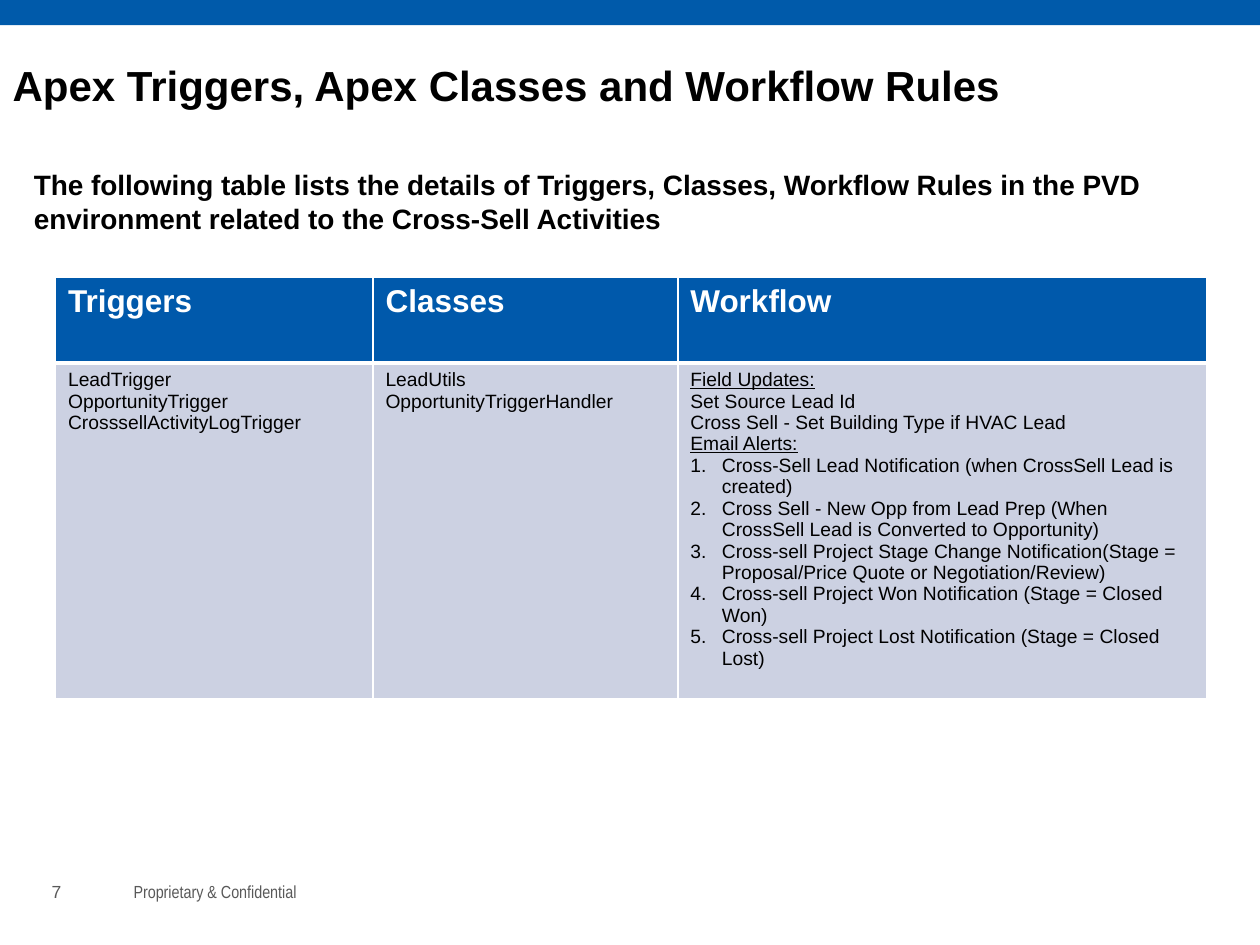
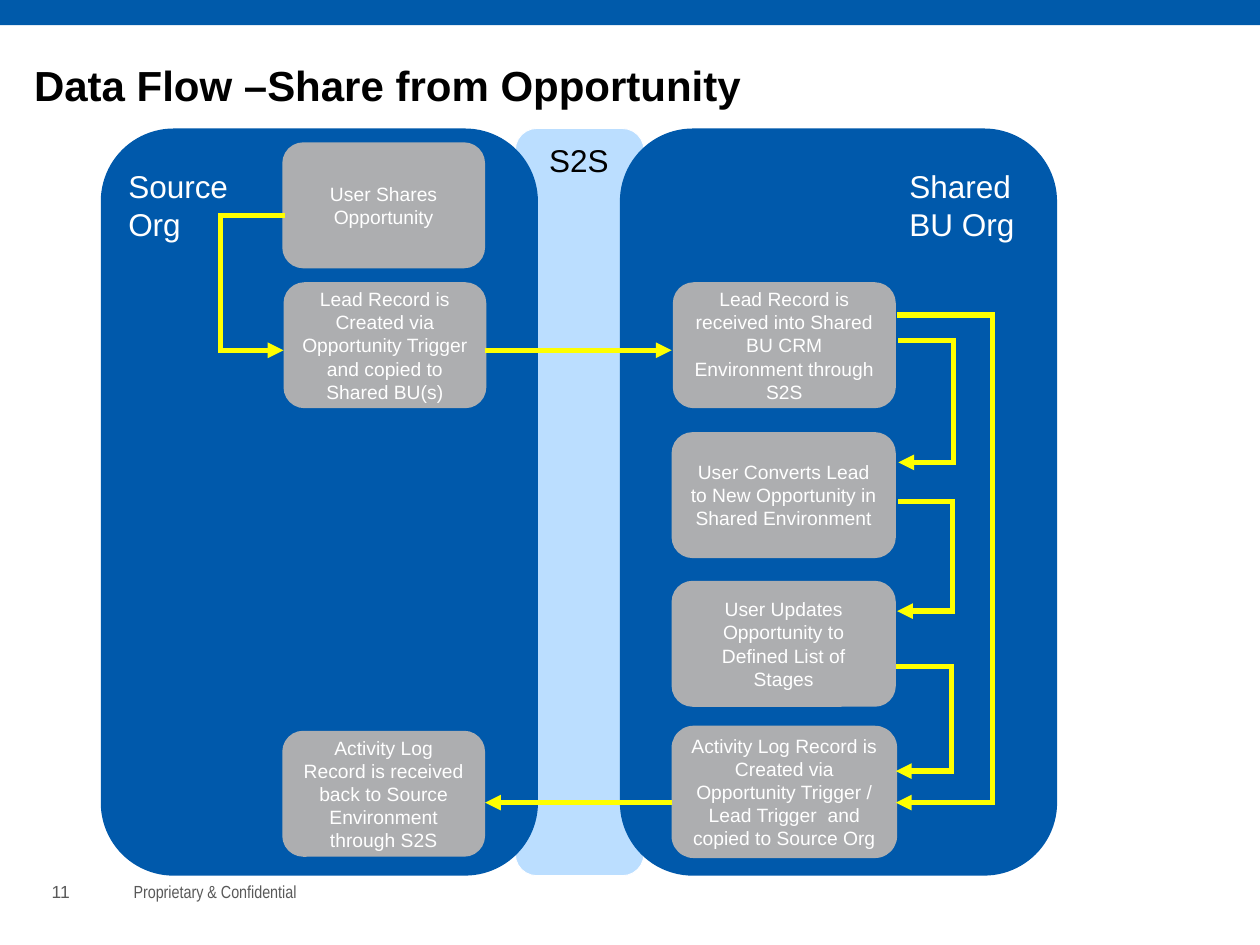
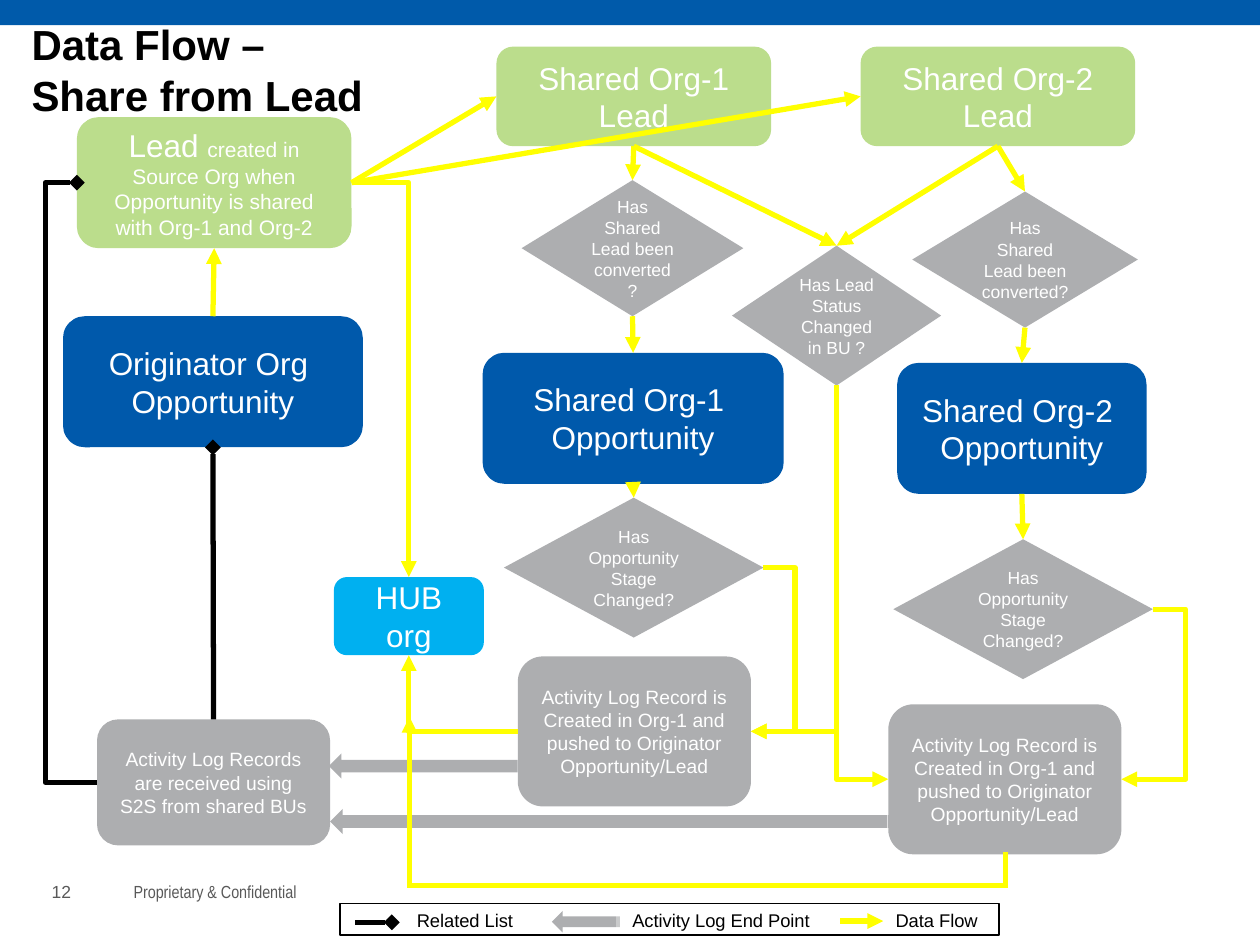
from lxml import etree
from pptx import Presentation
from pptx.dml.color import RGBColor
from pptx.enum.shapes import MSO_CONNECTOR, MSO_SHAPE
from pptx.enum.text import MSO_ANCHOR, MSO_AUTO_SIZE, PP_ALIGN
from pptx.oxml.ns import qn
from pptx.util import Inches, Pt

RECT, ROUND = MSO_SHAPE.RECTANGLE, MSO_SHAPE.ROUNDED_RECTANGLE
DIAMOND, STRIPED = MSO_SHAPE.DIAMOND, MSO_SHAPE.STRIPED_RIGHT_ARROW
STRAIGHT, ELBOW = MSO_CONNECTOR.STRAIGHT, MSO_CONNECTOR.ELBOW
LEFT_ALIGN, CENTER = PP_ALIGN.LEFT, PP_ALIGN.CENTER
ANCHOR_TOP, ANCHOR_MIDDLE, ANCHOR_BOTTOM = MSO_ANCHOR.TOP, MSO_ANCHOR.MIDDLE, MSO_ANCHOR.BOTTOM
NO_AUTOFIT = MSO_AUTO_SIZE.NONE
TOP, LEFT, BOTTOM, RIGHT = range(4)
FONT = "Arial"
TITLE_ONLY = 5
C = {
    "band": "005AAA", "blue": "0059AB", "pale": "BBDEFF", "gray": "ADAEB0",
    "green": "BBDD8C", "hub": "00B0F0", "flow": "FFFF00", "cell": "CCD1E2",
    "white": "FFFFFF", "black": "000000", "footer": "595959",
}


def rgb(name):
    return RGBColor.from_string(C[name])


def set_font(font, size, color, bold=False, name=FONT):
    font.name, font.size, font.bold = name, Pt(size), bold
    font.color.rgb = rgb(color)


def fill_text(tf, text, size, color, bold=False, align=LEFT_ALIGN, name=FONT):
    tf.word_wrap = True
    tf.text = text
    for p in tf.paragraphs:
        p.alignment = align
        set_font(p.font, size, color, bold, name)


def add_text(s, box, text, size, color="black", bold=False, align=LEFT_ALIGN, name=FONT):
    tf = s.shapes.add_textbox(*map(Inches, box)).text_frame
    fill_text(tf, text, size, color, bold, align, name)
    return tf


def add_box(s, kind, box, fill=None, text="", size=11, line=None, width=1):
    sp = s.shapes.add_shape(kind, *map(Inches, box))
    sp.shadow.inherit = False
    if fill:
        sp.fill.solid()
        sp.fill.fore_color.rgb = rgb(fill)
    else:
        sp.fill.background()
    if line:
        sp.line.color.rgb = rgb(line)
        sp.line.width = Pt(width)
    else:
        sp.line.fill.background()
    if text:
        sp.text_frame.vertical_anchor = ANCHOR_MIDDLE
        fill_text(sp.text_frame, text, size, "white", align=CENTER)
    return sp


def style_line(c, color="flow", head=None, tail=None, cap="flat"):
    c.line.color.rgb = rgb(color)
    c.line.width = Pt(3)
    sp_pr = c._element.spPr
    ln = sp_pr.find(qn("a:ln"))
    ln.set("cap", cap)
    for tag, kind in (("a:headEnd", head), ("a:tailEnd", tail)):
        if kind:
            etree.SubElement(ln, qn(tag), type=kind)
    etree.SubElement(sp_pr, qn("a:effectLst"))


def add_route(s, points, color="flow", tail="triangle"):
    """Straight segments through the points, with the arrowhead on the last."""
    cap = "sq" if len(points) > 2 else "flat"
    for i, (a, b) in enumerate(zip(points, points[1:]), 2):
        c = s.shapes.add_connector(STRAIGHT, *map(Inches, (*a, *b)))
        style_line(c, color, tail=tail if i == len(points) else None, cap=cap)


def link(s, a, a_side, b, b_side, kind=STRAIGHT, **style):
    c = s.shapes.add_connector(kind, 0, 0, 0, 0)
    c.begin_connect(a, a_side)
    c.end_connect(b, b_side)
    style_line(c, **style)
    return c


def add_corner(s, a, a_side, b, b_side, **style):
    """Elbow with one turn, leaving a sideways and reaching b vertically."""
    c = link(s, a, a_side, b, b_side, ELBOW, **style)
    c._element.spPr.find(qn("a:prstGeom")).set("prst", "bentConnector2")


def add_detour(s, a, b, side, via_x, **style):
    """Elbow joining the same side of a and b through a vertical at via_x."""
    c = link(s, a, side, b, side, ELBOW, **style)
    adj = round((Inches(via_x) - c.begin_x) / (c.end_x - c.begin_x) * 100000)
    av = c._element.spPr.find(qn("a:prstGeom")).find(qn("a:avLst"))
    etree.SubElement(av, qn("a:gd"), name="adj1", fmla=f"val {adj}")


def new_slide(prs, number, title, title_box):
    s = prs.slides.add_slide(prs.slide_layouts[TITLE_ONLY])
    add_box(s, RECT, (0, 0, 10, 0.2), "band")
    tf = add_text(s, (0.34, 6.8, 0.41, 0.4), str(number), 10, "footer")
    tf.vertical_anchor = ANCHOR_BOTTOM
    tf.margin_left = tf.margin_right = Inches(0.07)
    tf.margin_top = tf.margin_bottom = Inches(0.04)
    tf = add_text(s, (1.02, 6.95, 1.86, 0.2), "Proprietary & Confidential", 10,
                  "footer", name="Arial Narrow")
    tf.margin_left = tf.margin_right = tf.margin_top = tf.margin_bottom = Inches(0.04)

    sp = s.shapes.title
    sp.left, sp.top, sp.width, sp.height = map(Inches, title_box)
    tf = sp.text_frame
    tf.auto_size = NO_AUTOFIT
    tf.vertical_anchor = ANCHOR_TOP
    fill_text(tf, title, 24, "black", True)
    return s


def set_borders(cell, bottom):
    tc_pr = cell._tc.get_or_add_tcPr()
    sides = (("a:lnL", 1), ("a:lnR", 1), ("a:lnT", 1), ("a:lnB", bottom))
    for i, (tag, width) in enumerate(sides):
        ln = etree.Element(qn(tag), w=str(Pt(width)))
        fill = etree.SubElement(ln, qn("a:solidFill"))
        etree.SubElement(fill, qn("a:srgbClr"), val=C["white"])
        tc_pr.insert(i, ln)


def number_paragraph(p):
    p_pr = p._p.get_or_add_pPr()
    p_pr.set("marL", str(Inches(0.25)))
    p_pr.set("indent", str(-Inches(0.25)))
    etree.SubElement(p_pr, qn("a:buFont"), typeface=FONT)
    etree.SubElement(p_pr, qn("a:buAutoNum"), type="arabicPeriod")


HEADERS = ["Triggers", "Classes", "Workflow"]
ALERTS = [
    "Cross-Sell Lead Notification (when CrossSell Lead is created)",
    "Cross Sell - New Opp from Lead Prep (When CrossSell Lead is Converted to Opportunity)",
    "Cross-sell Project Stage Change Notification(Stage = Proposal/Price Quote or "
    "Negotiation/Review)",
    "Cross-sell Project Won Notification (Stage = Closed Won)",
    "Cross-sell Project Lost Notification (Stage = Closed Lost)",
]
DETAILS = [
    ["LeadTrigger", "OpportunityTrigger", "CrosssellActivityLogTrigger"],
    ["LeadUtils", "OpportunityTriggerHandler"],
    ["Field Updates:", "Set Source Lead Id", "Cross Sell - Set Building Type if HVAC Lead",
     "Email Alerts:", *ALERTS],
]


def automation_table(s, box):
    table = s.shapes.add_table(2, 3, *map(Inches, box)).table
    for col, width in zip(table.columns, (2.52, 2.42, 4.2)):
        col.width = Inches(width)
    for row, height in zip(table.rows, (0.68, box[3] - 0.68)):
        row.height = Inches(height)
    for i, (header, lines) in enumerate(zip(HEADERS, DETAILS)):
        head, body = table.cell(0, i), table.cell(1, i)
        for cell, fill, bottom in ((head, "blue", 3), (body, "cell", 1)):
            cell.fill.solid()
            cell.fill.fore_color.rgb = rgb(fill)
            set_borders(cell, bottom)
        head.text = header
        set_font(head.text_frame.paragraphs[0].font, 18, "white", True)
        body.text = "\n".join(lines)
        for p in body.text_frame.paragraphs:
            if p.text in ALERTS:
                number_paragraph(p)
            set_font(p.font, 11, "black")
            if p.text.endswith(":"):
                p.runs[0].font.underline = True


def triggers_slide(prs):
    s = new_slide(prs, 7, "Apex Triggers, Apex Classes and Workflow Rules", (0, 0.42, 8.5, 0.5))
    add_text(s, (0.17, 1.28, 9.66, 0.92),
             "The following table lists the details of Triggers, Classes, Workflow Rules "
             "in the PVD environment related to the Cross-Sell Activities", 16, bold=True)
    automation_table(s, (0.44, 2.2, 9.14, 3.34))


SOURCE_STEPS = [  # left and top in the panel, width, height, text
    (1.44, 0.11, 1.61, 1, "User Shares Opportunity"),
    (1.45, 1.22, 1.61, 1,
     "Lead Record is Created via Opportunity Trigger and copied to Shared BU(s)"),
    (1.44, 4.78, 1.61, 1, "Activity Log Record is received back to Source Environment through S2S"),
]
SHARED_STEPS = [
    (0.42, 1.22, 1.77, 1, "Lead Record is received into Shared BU CRM Environment through S2S"),
    (0.41, 2.41, 1.78, 1, "User Converts Lead to New Opportunity in Shared Environment"),
    (0.41, 3.59, 1.78, 1, "User Updates Opportunity to Defined List of Stages"),
    (0.41, 4.74, 1.79, 1.05,
     "Activity Log Record is Created via Opportunity Trigger / Lead Trigger  "
     "and copied to Source Org"),
]
SOURCE_LOOP = (1.44, 0.69, 0.95, 1.45, 1.76)  # start x, y, turn x, end x, y
SHARED_LOOPS = [
    (2.23, 1.68, 2.65, 2.21, 2.65),
    (2.23, 2.96, 2.64, 2.2, 3.83),
    (2.21, 4.27, 2.63, 2.19, 5.1),
    (2.22, 1.48, 2.96, 2.19, 5.35),
]


def org_panel(s, box, label, label_left, label_width, steps, loops):
    x, y = box[:2]
    add_box(s, ROUND, box, "blue")
    for dx, dy, w, h, text in steps:
        add_box(s, ROUND, (x + dx, y + dy, w, h), "gray", text)
    add_text(s, (x + label_left, y + 0.26, label_width, 0.71), label, 18, "white")
    for x1, y1, turn, x2, y2 in loops:
        corners = [(x1, y1), (turn, y1), (turn, y2), (x2, y2)]
        add_route(s, [(x + px, y + py) for px, py in corners])


def opportunity_slide(prs):
    s = new_slide(prs, 11, "Data Flow –Share from Opportunity", (0.17, 0.42, 9.34, 0.5))
    top, height = 1.02, 5.93
    add_box(s, ROUND, (4.09, top, 1.02, height), "pale", line="white", width=0.5)
    add_text(s, (4.01, top + 0.05, 1.17, 0.4), "S2S", 18, align=CENTER)
    org_panel(s, (4.92, top, 3.47, height), "Shared BU Org", 2.2, 1.17,
              SHARED_STEPS, SHARED_LOOPS)
    org_panel(s, (0.8, top, 3.47, height), "Source Org", 0.12, 1.06,
              SOURCE_STEPS, [SOURCE_LOOP])
    add_route(s, [(3.85, 2.78), (5.33, 2.78)])
    add_route(s, [(5.33, 6.37), (3.85, 6.37)])


CONVERTED = "Has Shared Lead been converted?"
STAGE = "Has Opportunity Stage Changed?"
LOGGED = "Activity Log Record is Created in Org-1 and pushed to Originator Opportunity/Lead"
STYLES = {  # shape, fill, text size
    "lead": (ROUND, "green", 18), "opportunity": (ROUND, "blue", 18),
    "hub": (ROUND, "hub", 18), "log": (ROUND, "gray", 11), "question": (DIAMOND, "gray", 10),
}
NODES = {  # style, box in the chart, text
    "origin": ("opportunity", (0, 2.14, 2.38, 1.04), "Originator Org \nOpportunity"),
    "converted1": ("question", (3.64, 1.06, 1.76, 1.08), CONVERTED),
    "opp1": ("opportunity", (3.33, 2.43, 2.39, 1.04), "Shared Org-1 \nOpportunity"),
    "stage1": ("question", (3.5, 3.58, 2.06, 1.11), STAGE),
    "received": ("log", (0.27, 5.34, 1.85, 1),
                 "Activity Log Records are received using S2S from shared BUs"),
    "opp2": ("opportunity", (6.62, 2.51, 1.98, 1.04), "Shared Org-2 \nOpportunity"),
    "converted2": ("question", (6.74, 1.15, 1.79, 1.08), CONVERTED),
    "lead1": ("lead", (3.44, 0, 2.18, 0.79), "Shared Org-1 Lead"),
    "lead2": ("lead", (6.33, 0, 2.18, 0.79), "Shared Org-2 Lead"),
    "lead": ("lead", (0.11, 0.56, 2.18, 1.04), "Lead "),
    "stage2": ("question", (6.59, 3.91, 2.06, 1.11), STAGE),
    "status": ("question", (5.31, 1.58, 1.66, 1.11), "Has Lead Status Changed in BU ?"),
    "log1": ("log", (3.61, 4.84, 1.85, 1.19), LOGGED),
    "log2": ("log", (6.55, 5.22, 1.85, 1.19), LOGGED),
    "hub": ("hub", (2.15, 4.21, 1.19, 0.62), "HUB org"),
}
DOWN_LINKS = [
    ("lead1", "converted1"), ("lead2", "converted2"), ("converted1", "opp1"),
    ("converted2", "opp2"), ("lead1", "status"), ("lead2", "status"),
    ("opp1", "stage1"), ("opp2", "stage2"),
]


def lead_flowchart(s, x, y):
    n = {}
    for key, (style, (dx, dy, w, h), text) in NODES.items():
        kind, fill, size = STYLES[style]
        n[key] = add_box(s, kind, (x + dx, y + dy, w, h), fill, text, size)
    r = n["lead"].text_frame.paragraphs[0].add_run()
    r.text = "created in Source Org when Opportunity is shared with Org-1 and Org-2"
    r.font.size = Pt(12)

    link(s, n["origin"], TOP, n["lead"], BOTTOM, tail="triangle")
    link(s, n["origin"], BOTTOM, n["received"], TOP, color="black", head="diamond")
    for target in ("lead1", "lead2"):
        link(s, n["lead"], RIGHT, n[target], LEFT, tail="triangle")
    for a, b in DOWN_LINKS:
        link(s, n[a], BOTTOM, n[b], TOP, tail="triangle")
    add_detour(s, n["log1"], n["stage1"], RIGHT, x + 5.81, head="triangle")
    add_detour(s, n["log2"], n["stage2"], RIGHT, x + 8.91, head="triangle")
    for dx, dy, w in ((2.11, 5.61, 1.53), (2.12, 6.05, 4.45)):
        add_box(s, STRIPED, (x + dx, y + dy, w, 0.2), "gray").rotation = 180
    add_detour(s, n["lead"], n["received"], LEFT, x - 0.14, color="black", head="diamond")
    add_corner(s, n["log1"], RIGHT, n["status"], BOTTOM, head="triangle")
    add_corner(s, n["log2"], LEFT, n["status"], BOTTOM, head="triangle")
    add_corner(s, n["lead"], RIGHT, n["hub"], TOP, tail="triangle")
    add_corner(s, n["log1"], LEFT, n["hub"], BOTTOM, tail="triangle")
    corners = [(7.48, 6.41), (7.48, 6.66), (2.75, 6.66), (2.75, 5.32)]
    add_route(s, [(x + px, y + py) for px, py in corners])


def legend(s, box):
    x, y = box[:2]
    add_box(s, RECT, box, line="black")
    add_route(s, [(x + 0.12, y + 0.15), (x + 0.41, y + 0.15)], "black", "diamond")
    add_box(s, STRIPED, (x + 1.68, y + 0.06, 0.54, 0.17), "gray").rotation = 180
    add_route(s, [(x + 3.97, y + 0.14), (x + 4.31, y + 0.14)])
    for dx, w, text in ((0.51, 1, "Related List"), (2.22, 1.69, "Activity Log End Point"),
                        (4.31, 1, "Data Flow")):
        add_text(s, (x + dx, y, w, 0.29), text, 10.5)


def lead_slide(prs):
    s = new_slide(prs, 12, "Data Flow – Share from Lead", (0.15, 0.1, 2.89, 0.91))
    lead_flowchart(s, 0.5, 0.37)
    legend(s, (2.7, 7.17, 5.23, 0.25))


def main():
    prs = Presentation()
    prs.slide_width, prs.slide_height = Inches(10), Inches(7.5)
    triggers_slide(prs)
    opportunity_slide(prs)
    lead_slide(prs)
    prs.save("out.pptx")


if __name__ == "__main__":
    main()
